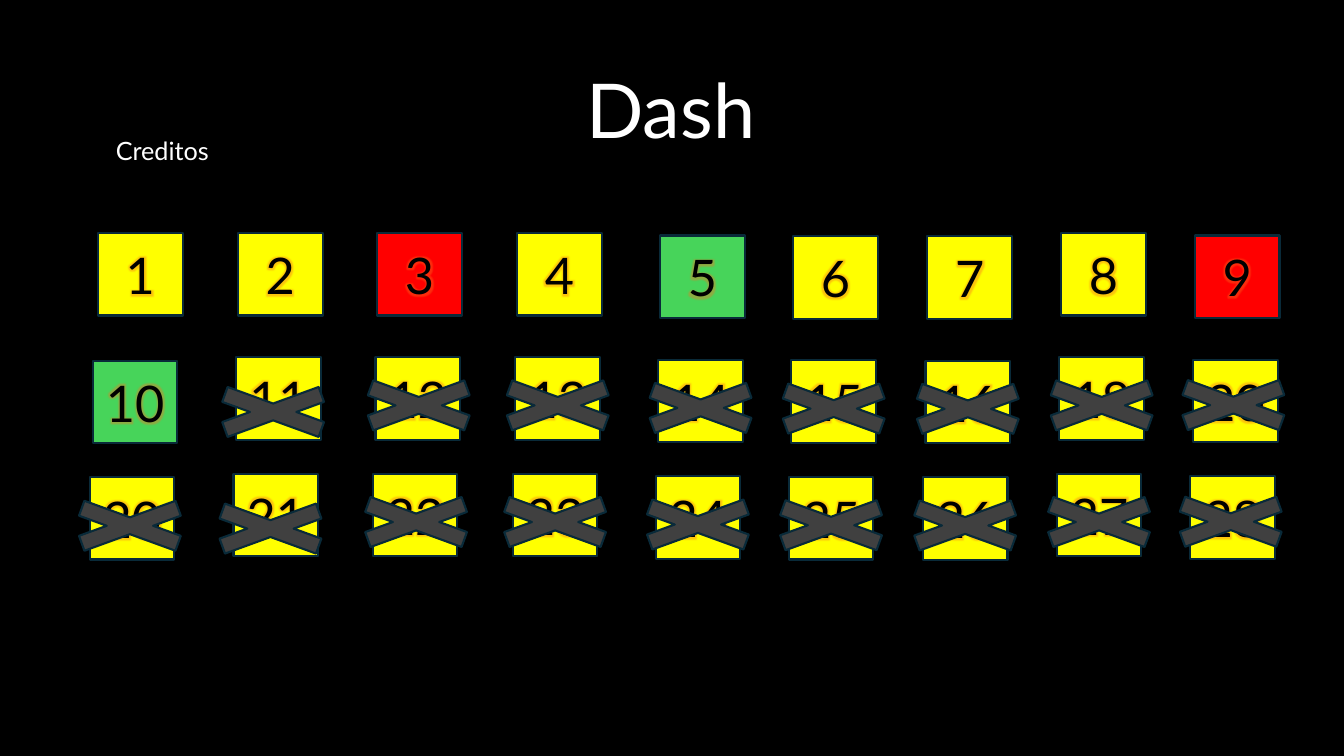
from dataclasses import dataclass
from itertools import chain

from lxml import etree
from pptx import Presentation
from pptx.dml.color import RGBColor
from pptx.enum import shapes, text
from pptx.oxml import ns
from pptx.util import Pt

BLACK, WHITE = "000000", "FFFFFF"
YELLOW, RED, GREEN = "FFFF00", "FF0000", "47D45A"
GRAY, OUTLINE, GLOW = "404040", "092A39", "F97020"
WIDTH, HEIGHT = 960, 540
CARD_WIDTH, CARD_HEIGHT = 60.5, 59
CROSS_WIDTH, CROSS_HEIGHT = 132.5, 48.2


@dataclass
class Column:
    left: float
    drop: float = 0
    cross_left: float = -36
    cross_top: float = 10.4


@dataclass
class Row:
    top: float
    shift: float
    first_shift: float
    first_drop: float
    labels: list[int]
    first_crossed: int


COLUMNS = [
    Column(70, cross_left=-37.4, cross_top=10.8),
    Column(170, cross_left=-39.8, cross_top=15.1),
    Column(269.5, cross_left=-35.3),
    Column(369.5),
    Column(471.5, 1.8),
    Column(566.6, 2.3),
    Column(662.4, 2.5),
    Column(758),
    Column(853.5, 1.8, cross_left=-37.4, cross_top=8.4),
]
ROWS = [
    Row(166.4, 0, 0, 0, list(range(1, 10)), 9),
    Row(255.1, -1.3, -3.7, 2.5, [*range(10, 17), 18, 20], 1),
    Row(338.4, -3.2, -6, 2.3, list(range(20, 29)), 0),
]
CARD_COLORS = {3: RED, 5: GREEN, 9: RED, 10: GREEN}


def color(value: str) -> RGBColor:
    return RGBColor.from_string(value)


def write(shape, words: str, size: float, fill: str, paragraph_format: dict, frame_format: dict):
    frame = shape.text_frame
    for name, value in frame_format.items():
        setattr(frame, name, value)
    paragraph = frame.paragraphs[0]
    for name, value in paragraph_format.items():
        setattr(paragraph, name, value)
    run = paragraph.add_run()
    run.text = words
    for name, value in {"name": "Lato", "size": Pt(size)}.items():
        setattr(run.font, name, value)
    run.font.color.rgb = color(fill)
    return run


def add_glow(run) -> None:
    """Put a soft halo around the letters of a run."""
    effects = etree.Element(ns.qn("a:effectLst"))
    glow = etree.SubElement(effects, ns.qn("a:glow"), rad=str(Pt(5)))
    tint = etree.SubElement(glow, ns.qn("a:srgbClr"), val=GLOW)
    etree.SubElement(tint, ns.qn("a:alpha"), val="40000")
    run.font._element.find(ns.qn("a:solidFill")).addnext(effects)


def add_preset(slide, kind, left: float, top: float, width: float, height: float,
               fill: str, line: str = OUTLINE):
    shape = slide.shapes.add_shape(kind, Pt(left), Pt(top), Pt(width), Pt(height))
    shape.shadow.inherit = False
    shape.fill.solid()
    shape.fill.fore_color.rgb = color(fill)
    shape.line.color.rgb = color(line)
    shape.line.width = Pt(1.5)
    return shape


def add_card(slide, label: int, left: float, top: float) -> None:
    card = add_preset(slide, shapes.MSO_SHAPE.RECTANGLE, left, top, CARD_WIDTH, CARD_HEIGHT,
                      CARD_COLORS.get(label, YELLOW))
    run = write(card, str(label), 36, BLACK, {"alignment": text.PP_ALIGN.CENTER},
                {"vertical_anchor": text.MSO_ANCHOR.MIDDLE, "word_wrap": True})
    add_glow(run)


def add_row(slide, row: Row) -> None:
    for index, (column, label) in enumerate(zip(COLUMNS, row.labels)):
        left = column.left + (row.shift if index else row.first_shift)
        top = row.top + (column.drop if index else row.first_drop)
        add_card(slide, label, left, top)
        if index >= row.first_crossed:
            add_preset(slide, shapes.MSO_SHAPE.MATH_MULTIPLY, left + column.cross_left,
                       top + column.cross_top, CROSS_WIDTH, CROSS_HEIGHT, GRAY)


def add_title(slide) -> None:
    title = slide.shapes.title
    place = {"left": 402.5, "top": 42.5, "width": 153.4, "height": 72}
    for name, value in place.items():
        setattr(title, name, Pt(value))
    write(title, "Dash", 54, WHITE,
          {"alignment": text.PP_ALIGN.CENTER, "line_spacing": 0.9},
          {"vertical_anchor": text.MSO_ANCHOR.BOTTOM, "word_wrap": True,
           "auto_size": text.MSO_AUTO_SIZE.NONE})


def main() -> None:
    presentation = Presentation()
    presentation.slide_width, presentation.slide_height = Pt(WIDTH), Pt(HEIGHT)
    slide = presentation.slides.add_slide(presentation.slide_layouts[0])
    subtitle = slide.placeholders[1].element
    subtitle.getparent().remove(subtitle)

    backdrop = add_preset(slide, shapes.MSO_SHAPE.RECTANGLE, 0, 0, WIDTH, HEIGHT, BLACK, BLACK)
    slide.shapes.title.element.addprevious(backdrop.element)
    add_title(slide)
    for row in ROWS:
        add_row(slide, row)

    credits = slide.shapes.add_textbox(Pt(75.6), Pt(92.9), Pt(87.8), Pt(29))
    write(credits, "Creditos", 18, WHITE, {"alignment": text.PP_ALIGN.LEFT},
          {"word_wrap": True, "auto_size": text.MSO_AUTO_SIZE.SHAPE_TO_FIT_TEXT})
    presentation.save("out.pptx")


if __name__ == "__main__":
    main()
